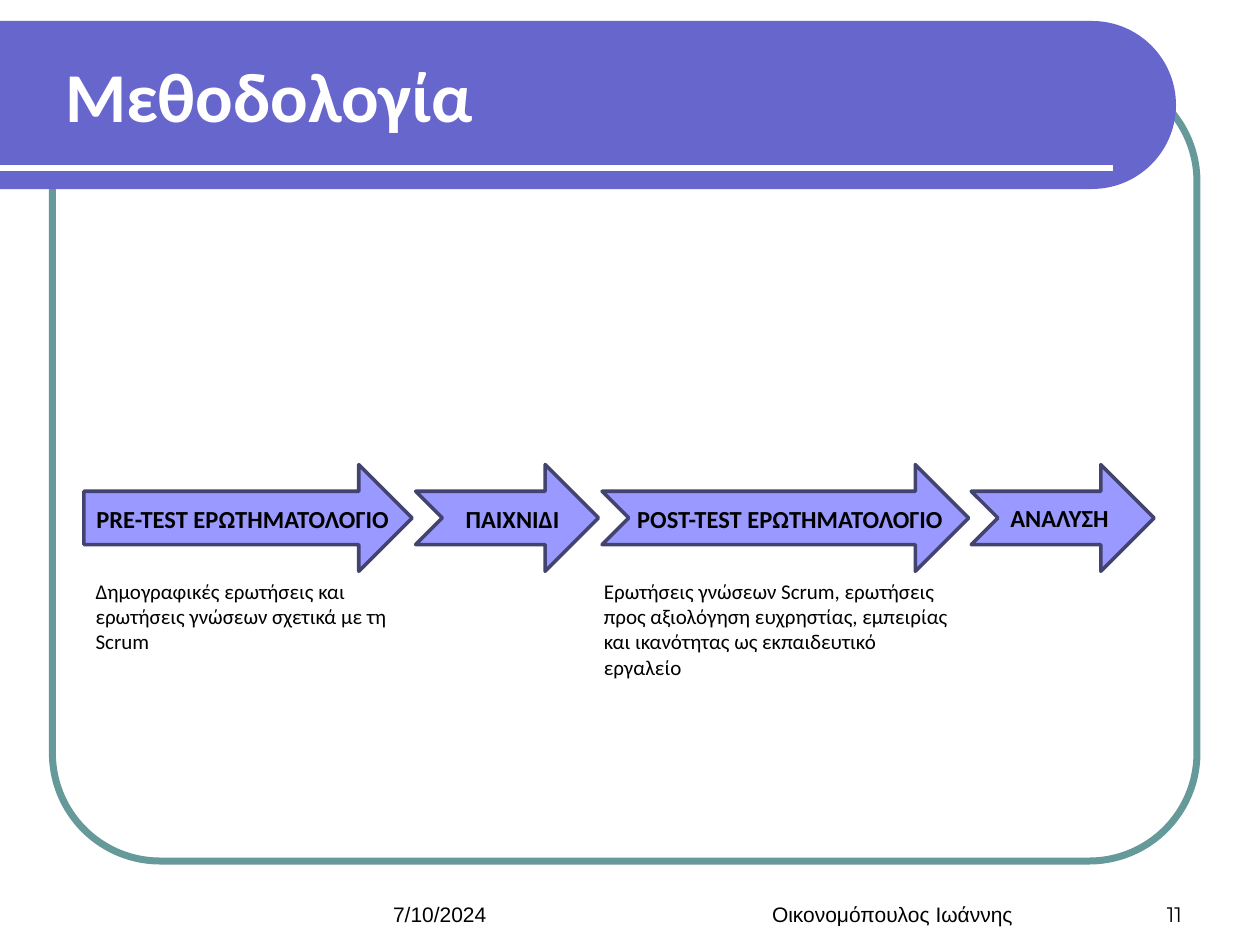
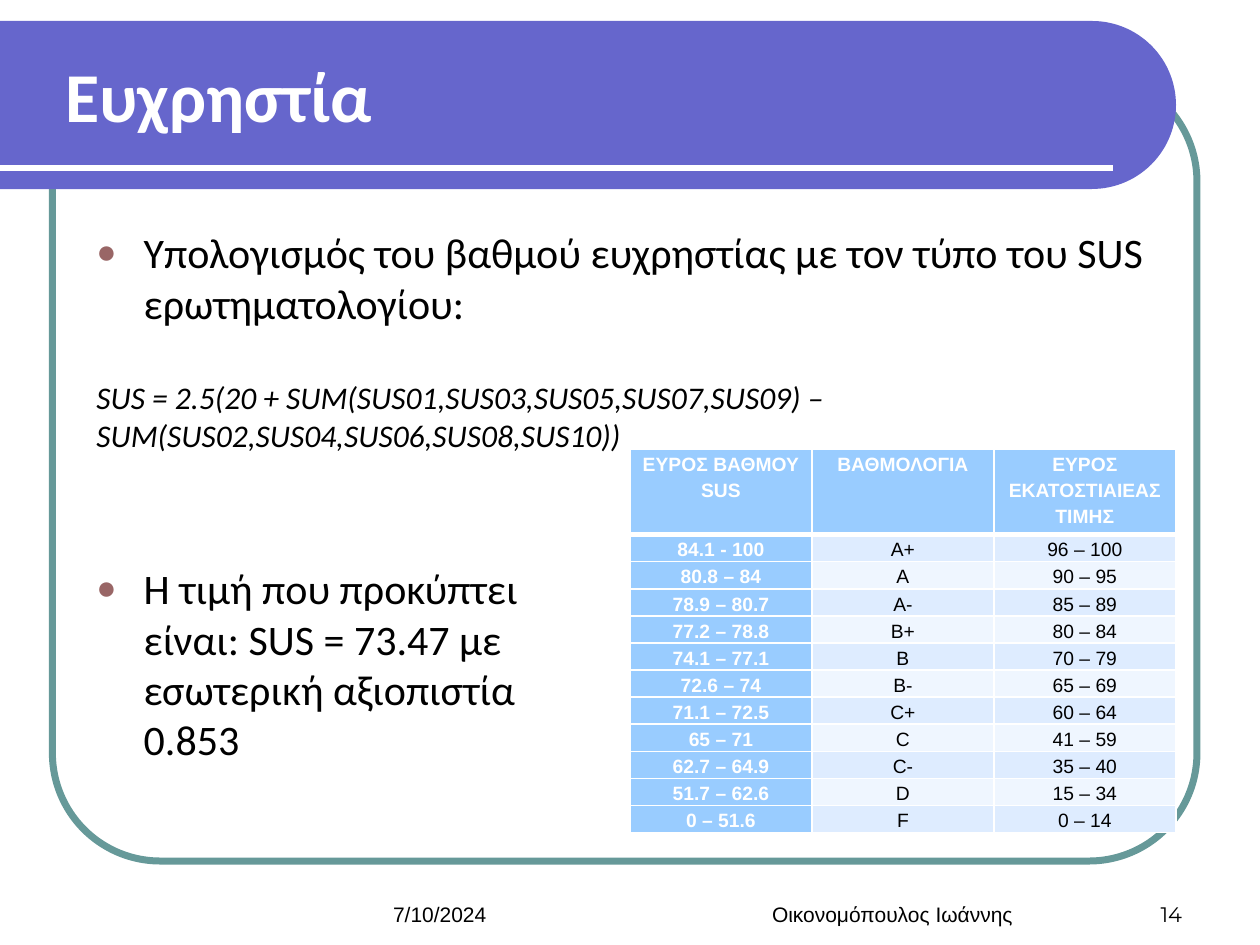
from math import cos, sin, radians
from lxml import etree
from pptx import Presentation
from pptx.dml.color import RGBColor
from pptx.enum.shapes import MSO_CONNECTOR, MSO_SHAPE as SHAPE
from pptx.enum.text import MSO_ANCHOR as ANCHOR, MSO_AUTO_SIZE as AUTO, PP_ALIGN as ALIGN
from pptx.oxml import parse_xml
from pptx.oxml.ns import nsdecls, qn
from pptx.util import Pt

WHITE = RGBColor(0xFF, 0xFF, 0xFF)
BLACK = RGBColor(0, 0, 0)
TEAL = RGBColor(0x66, 0x99, 0x99)
INDIGO = RGBColor(0x66, 0x66, 0xCC)
LILAC = RGBColor(0x99, 0x99, 0xFF)
SLATE = RGBColor(0x43, 0x43, 0x70)
MAUVE = RGBColor(0x99, 0x66, 0x66)
SKY = RGBColor(0x99, 0xCC, 0xFF)
BANDS = [RGBColor(0xDE, 0xEC, 0xFF), RGBColor(0xEF, 0xF6, 0xFF)]


def write(tf, text, size=12, font="Calibri", color=BLACK, bold=False, italic=False,
          align=ALIGN.LEFT, before=0, line=None, bullet=False):
    p = tf.paragraphs[0] if not tf.text else tf.add_paragraph()
    p.alignment, p.space_before = align, Pt(before)
    if line:
        p.line_spacing = Pt(line)
    if bullet:
        pPr = p._p.get_or_add_pPr()
        pPr.set("marL", str(Pt(27)))
        pPr.set("indent", str(Pt(-27)))
        for xml in (f'<a:buClr {nsdecls("a")}><a:srgbClr val="{MAUVE}"/></a:buClr>',
                    f'<a:buSzPct {nsdecls("a")} val="80000"/>',
                    f'<a:buFont {nsdecls("a")} typeface="Arial"/>',
                    f'<a:buChar {nsdecls("a")} char="●"/>'):
            pPr.append(parse_xml(xml))
    r = p.add_run()
    r.text = text
    r.font.size, r.font.name = Pt(size), font
    r.font.bold, r.font.italic = bold, italic
    r.font.color.rgb = color


def add_box(s, left, top, width, height, anchor=ANCHOR.TOP):
    tf = s.shapes.add_textbox(Pt(left), Pt(top), Pt(width), Pt(height)).text_frame
    tf.word_wrap, tf.vertical_anchor = True, anchor
    return tf


prs = Presentation()
prs.slide_width, prs.slide_height = Pt(720), Pt(540)

slides = []
for title, number in [("Μεθοδολογία", "11"), ("Ευχρηστία", "14")]:
    s = prs.slides.add_slide(prs.slide_layouts[5])
    slides.append(s)

    frame = s.shapes.add_shape(SHAPE.ROUNDED_RECTANGLE, Pt(30), Pt(42), Pt(654), Pt(450))
    frame.adjustments[0] = 0.137
    frame.shadow.inherit = False
    frame.fill.background()
    frame.line.color.rgb, frame.line.width = TEAL, Pt(4)

    arc = [(Pt(624 + 48 * cos(radians(a))), Pt(60 + 48 * sin(radians(a))))
           for a in range(-90, 91, 3)]
    fb = s.shapes.build_freeform(0, Pt(12))
    fb.add_line_segments(arc + [(0, Pt(108))], close=True)
    band = fb.convert_to_shape()
    band.shadow.inherit = False
    band.fill.solid()
    band.fill.fore_color.rgb = INDIGO
    band.line.fill.background()

    rule = s.shapes.add_connector(MSO_CONNECTOR.STRAIGHT, 0, Pt(96), Pt(636), Pt(96))
    rule.line.color.rgb, rule.line.width = WHITE, Pt(3)
    etree.SubElement(rule._element.spPr, qn("a:effectLst"))

    sp = s.shapes.title
    s.shapes._spTree.append(sp._element)
    sp.left, sp.top, sp.width, sp.height = Pt(30), Pt(18), Pt(616), Pt(72)
    sp.text_frame.auto_size = AUTO.NONE
    sp.text_frame.vertical_anchor = ANCHOR.MIDDLE
    write(sp.text_frame, title, size=40, color=WHITE, bold=True)

    for text, left, width, align, font in [
            ("7/10/2024", 217.5, 168, ALIGN.LEFT, "Arial"),
            ("Οικονομόπουλος Ιωάννης", 396, 228, ALIGN.CENTER, "Arial"),
            (number, 634.5, 48, ALIGN.RIGHT, "Montserrat")]:
        write(add_box(s, left, 497, width, 36, ANCHOR.BOTTOM), text, font=font, align=align)

method, usability = slides

for shape, left, width in [(SHAPE.RIGHT_ARROW, 48, 187.5),
                           (SHAPE.NOTCHED_RIGHT_ARROW, 344, 209.5),
                           (SHAPE.NOTCHED_RIGHT_ARROW, 237.5, 104.5),
                           (SHAPE.NOTCHED_RIGHT_ARROW, 555, 104.5)]:
    arrow = method.shapes.add_shape(shape, Pt(left), Pt(265.5), Pt(width), Pt(61))
    arrow.shadow.inherit = False
    arrow.fill.solid()
    arrow.fill.fore_color.rgb = LILAC
    arrow.line.color.rgb, arrow.line.width = SLATE, Pt(2)
arrow.text_frame.vertical_anchor = ANCHOR.MIDDLE
write(arrow.text_frame, "ΑΝΑΛΥΣΗ", size=14, bold=True)

for text, left, width in [("PRE-TEST ΕΡΩΤΗΜΑΤΟΛΟΓΙΟ", 48, 187.5),
                          ("ΠΑΙΧΝΙΔΙ", 259, 73),
                          ("POST-TEST ΕΡΩΤΗΜΑΤΟΛΟΓΙΟ", 357, 197.5)]:
    write(add_box(method, left, 284.5, width, 24), text, size=14, bold=True)

for text, left, width, height in [
        ("Δημογραφικές ερωτήσεις και ερωτήσεις γνώσεων σχετικά με τη Scrum", 47.5, 181, 51),
        ("Ερωτήσεις γνώσεων Scrum, ερωτήσεις προς αξιολόγηση ευχρηστίας, εμπειρίας "
         "και ικανότητας ως εκπαιδευτικό εργαλείο", 338, 216, 65.5)]:
    write(add_box(method, left, 327, width, height), text)

tf = add_box(usability, 48, 126, 624, 155.5)
write(tf, "Υπολογισμός του βαθμού ευχρηστίας με τον τύπο του SUS ερωτηματολογίου:",
      size=24, bullet=True)
write(tf, "SUS = 2.5(20 + SUM(SUS01,SUS03,SUS05,SUS07,SUS09) – "
      "SUM(SUS02,SUS04,SUS06,SUS08,SUS10))", size=18, italic=True, before=29)
write(add_box(usability, 48, 318, 312, 96.5),
      "Η τιμή που προκύπτει είναι: SUS = 73.47 με εσωτερική αξιοπιστία 0.853",
      size=24, bullet=True)

rows = [
    ("ΕΥΡΟΣ ΒΑΘΜΟΥ SUS", "ΒΑΘΜΟΛΟΓΙΑ", "ΕΥΡΟΣ ΕΚΑΤΟΣΤΙΑΙΕΑΣ ΤΙΜΗΣ"),
    ("84.1 - 100", "A+", "96 – 100"),
    ("80.8 – 84", "A", "90 – 95"),
    ("78.9 – 80.7", "A-", "85 – 89"),
    ("77.2 – 78.8", "B+", "80 – 84"),
    ("74.1 – 77.1", "B", "70 – 79"),
    ("72.6 – 74", "B-", "65 – 69"),
    ("71.1 – 72.5", "C+", "60 – 64"),
    ("65 – 71", "C", "41 – 59"),
    ("62.7 – 64.9", "C-", "35 – 40"),
    ("51.7 – 62.6", "D", "15 – 34"),
    ("0 – 51.6", "F", "0 – 14"),
]
table = usability.shapes.add_table(len(rows), 3, Pt(360), Pt(256.5), Pt(312), Pt(219.5)).table
for col in table.columns:
    col.width = Pt(104)
for i, row in enumerate(rows):
    table.rows[i].height = Pt(15.5 if i else 49)
    for j, text in enumerate(row):
        cell = table.cell(i, j)
        cell.margin_left = cell.margin_right = Pt(5)
        cell.margin_top = cell.margin_bottom = 0
        head = i == 0 or j == 0
        for side in ("lnL", "lnR", "lnT", "lnB"):
            thick = (i, side) in [(0, "lnB"), (1, "lnT")]
            cell._tc.get_or_add_tcPr().append(parse_xml(
                f'<a:{side} {nsdecls("a")} w="{Pt(3 if thick else 1)}"><a:solidFill>'
                f'<a:srgbClr val="{WHITE}"/></a:solidFill></a:{side}>'))
        cell.fill.solid()
        cell.fill.fore_color.rgb = SKY if head else BANDS[(i - 1) % 2]
        write(cell.text_frame, text, size=11, font="Arial", color=WHITE if head else BLACK,
              bold=head, align=ALIGN.CENTER, line=15)

prs.save("out.pptx")
